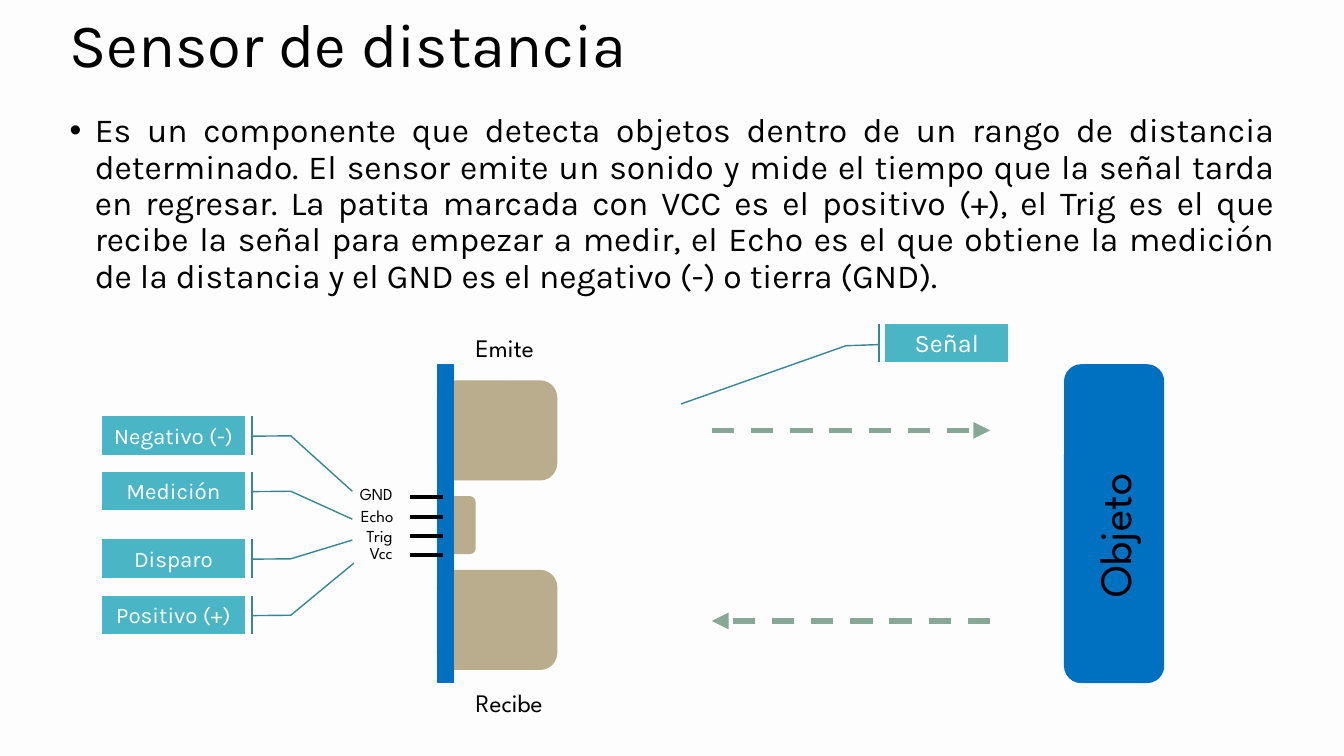
from lxml import etree
from pptx import Presentation
from pptx.dml.color import RGBColor
from pptx.enum.dml import MSO_LINE
from pptx.enum.shapes import MSO_CONNECTOR, MSO_SHAPE
from pptx.enum.text import MSO_ANCHOR, MSO_AUTO_SIZE, PP_ALIGN
from pptx.oxml.ns import qn
from pptx.util import Pt

PX = 9144  # 100 px to the inch
STRAIGHT, DASH = MSO_CONNECTOR.STRAIGHT, MSO_LINE.DASH
RECT, ROUND = MSO_SHAPE.RECTANGLE, MSO_SHAPE.ROUNDED_RECTANGLE
CALLOUT = MSO_SHAPE.LINE_CALLOUT_2_ACCENT_BAR
LEFT, CENTER, JUSTIFY = PP_ALIGN.LEFT, PP_ALIGN.CENTER, PP_ALIGN.JUSTIFY
MIDDLE, TOP = MSO_ANCHOR.MIDDLE, MSO_ANCHOR.TOP

COLORS = {"page": "FDFDFD", "ink": "000000", "white": "FFFFFF", "blue": "0070C0",
          "sand": "BAAD8D", "signal": "87A896", "tag": "4AB5C4", "leader": "378691"}
KARLA, SPARTAN = "Karla", "League Spartan"

TITLE = "Sensor de distancia"
BODY = ("Es un componente que detecta objetos dentro de un rango de distancia "
        "determinado. El sensor emite un sonido y mide el tiempo que la señal tarda "
        "en regresar. La patita marcada con VCC es el positivo (+), el Trig es el que "
        "recibe la señal para empezar a medir, el Echo es el que obtiene la medición "
        "de la distancia y el GND es el negativo (-) o tierra (GND).")

# from x, to x, y
SIGNALS = [(706, 982, 427), (982, 706, 616)]
# preset, left, top, width, height, color
BLOCKS = [
    (ROUND, 1056, 362, 98, 315, "blue"),
    (ROUND, 434, 378, 118, 98, "sand"),
    (ROUND, 434, 566, 118, 98, "sand"),
    (ROUND, 442, 493, 29, 56, "sand"),
    (RECT, 434, 362, 16, 315, "blue"),
]
PIN_LEFT, PIN_RIGHT = 407, 439
PIN_YS = [493, 513, 532, 551]
# text, left, top, width, height, size, alignment, rotation
LABELS = [
    ("Objeto", 1022, 488, 166, 64, 32, LEFT, 270),
    ("Emite", 462, 325, 90, 40, 18, LEFT, 0),
    ("Recibe", 462, 677, 106, 40, 18, LEFT, 0),
    ("GND", 347, 475, 59, 30, 12, LEFT, 0),
    ("Echo", 348, 497, 61, 30, 12, LEFT, 0),
    ("Trig", 350, 517, 53, 30, 12, CENTER, 0),
    ("Vcc", 352, 534, 52, 30, 12, CENTER, 0),
]
TAG_HEIGHT = 38
PIN_TAG_START = [0.52, 1.05, 0.51, 1.32]
# text, left, top, width, size, leader points as y, x fractions of the tag
TAGS = [
    ("Negativo (-)", 101, 413, 142, 16, PIN_TAG_START + [1.96, 1.75]),
    ("Medición", 101, 468, 142, 16, PIN_TAG_START + [1.24, 1.75]),
    ("Disparo", 101, 535, 142, 16, PIN_TAG_START + [0.02, 1.75]),
    ("Positivo (+)", 101, 591, 142, 16, PIN_TAG_START + [-0.85, 1.76]),
    ("Señal", 878, 321, 122, 18, [0.55, -0.05, 0.58, -0.32, 2.1, -1.66]),
]


def emu(*lengths):
    return [length * PX for length in lengths]


def rgb(name):
    return RGBColor.from_string(COLORS[name])


def write(frame, text, size, font, color="ink", align=LEFT, anchor=TOP, wrap=True):
    frame.word_wrap = wrap
    frame.auto_size = MSO_AUTO_SIZE.NONE if wrap else MSO_AUTO_SIZE.SHAPE_TO_FIT_TEXT
    frame.vertical_anchor = anchor
    para = frame.paragraphs[0]
    para.alignment = align
    span = para.add_run()
    span.text = text
    span.font.size = Pt(size)
    span.font.name = font
    span.font.color.rgb = rgb(color)
    return para


def fill_placeholder(box, place, text, size, align, anchor):
    box.left, box.top, box.width, box.height = emu(*place)
    para = write(box.text_frame, text, size, KARLA, align=align, anchor=anchor)
    para.line_spacing = 0.9
    para.space_before = Pt(0)
    return para


def add_line(shapes, x1, y1, x2, y2, color, width):
    line = shapes.add_connector(STRAIGHT, *emu(x1, y1, x2, y2))
    line.line.color.rgb = rgb(color)
    line.line.width = Pt(width)
    etree.SubElement(line._element.spPr, qn("a:effectLst"))
    return line.line


def add_block(shapes, preset, place, fill, outline):
    block = shapes.add_shape(preset, *emu(*place))
    block.shadow.inherit = False
    block.fill.solid()
    block.fill.fore_color.rgb = rgb(fill)
    block.line.color.rgb = rgb(outline)
    block.line.width = Pt(1)
    return block


def main():
    deck = Presentation()
    deck.slide_width, deck.slide_height = emu(1333, 750)
    page = deck.slides.add_slide(deck.slide_layouts[1])
    page.background.fill.solid()
    page.background.fill.fore_color.rgb = rgb("page")

    title, body = page.placeholders
    fill_placeholder(title, (59, 5, 1215, 84), TITLE, 44, LEFT, MIDDLE)
    para = fill_placeholder(body, (59, 108, 1215, 583), BODY, 24, JUSTIFY, TOP)
    props = para._p.get_or_add_pPr()
    props.set("marL", str(25 * PX))
    props.set("indent", str(-25 * PX))
    etree.SubElement(props, qn("a:buFont"), typeface="Arial")
    etree.SubElement(props, qn("a:buChar"), char="•")

    diagram = page.shapes.add_group_shape().shapes
    for start, end, y in SIGNALS:
        line = add_line(diagram, start, y, end, y, "signal", 4)
        line.dash_style = DASH
        etree.SubElement(line._get_or_add_ln(), qn("a:tailEnd"), type="triangle")

    for preset, *place, color in BLOCKS:
        add_block(diagram, preset, place, color, color)

    for y in PIN_YS:
        add_line(diagram, PIN_LEFT, y, PIN_RIGHT, y, "ink", 3)

    for text, *place, size, align, rotation in LABELS:
        box = diagram.add_textbox(*emu(*place))
        box.rotation = rotation
        write(box.text_frame, text, size, SPARTAN, align=align, wrap=False)

    for text, left, top, width, size, leader in TAGS:
        tag = add_block(diagram, CALLOUT, (left, top, width, TAG_HEIGHT), "tag", "leader")
        for index, value in enumerate(leader):
            tag.adjustments[index] = value
        write(tag.text_frame, text, size, KARLA, "white", CENTER, MIDDLE)

    deck.save("out.pptx")


if __name__ == "__main__":
    main()
